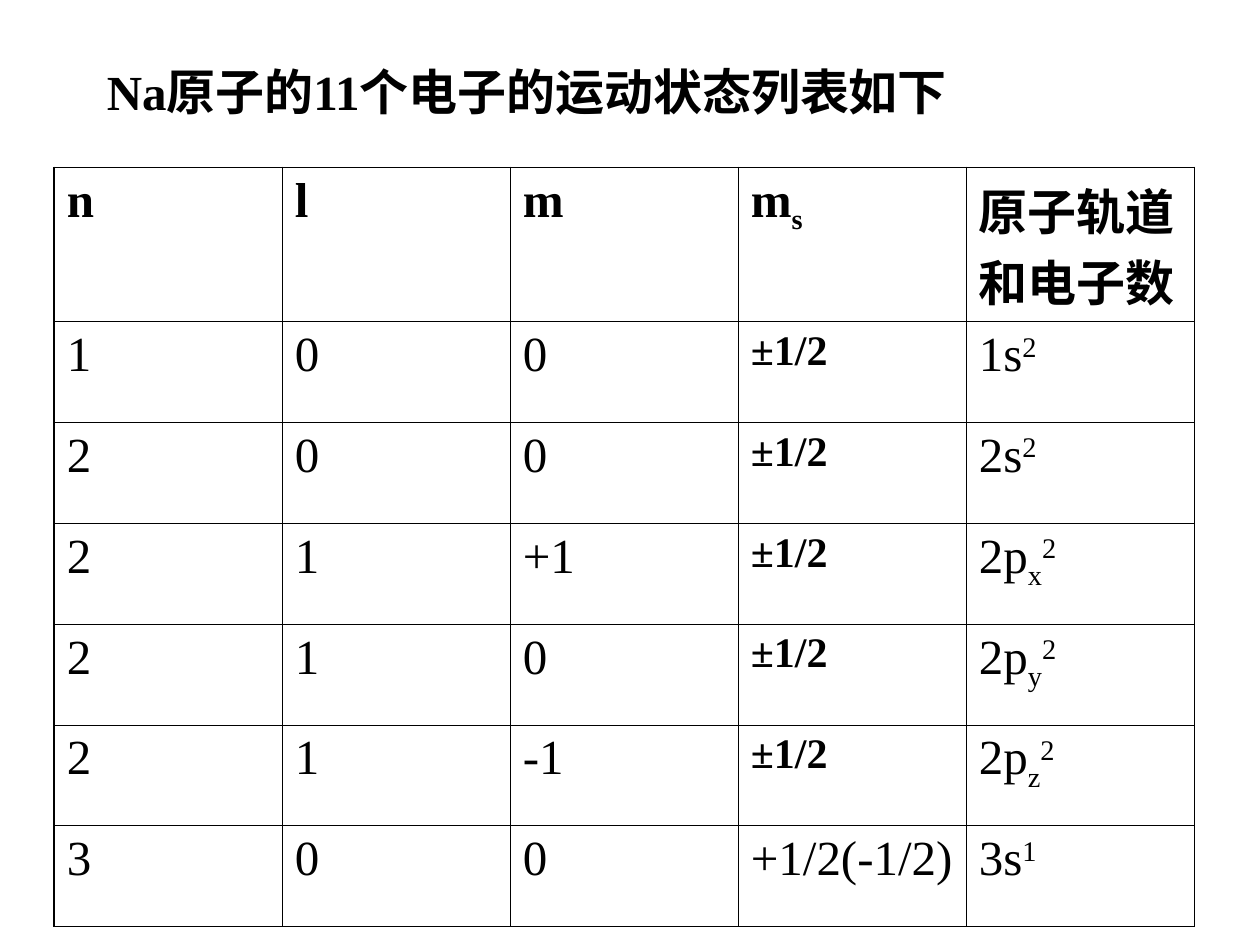
from dataclasses import dataclass

from lxml import etree
from pptx import Presentation
from pptx import util as u
from pptx.dml.color import RGBColor
from pptx.enum import text
from pptx.oxml.ns import qn


@dataclass(frozen=True)
class Theme:
    font: str = "Times New Roman"
    ink: str = "000000"
    body: int = 28
    spin: int = 24
    inner_line: float = 0.45
    outer_line: float = 1.08


THEME = Theme()
SUB, SUPER = -25000, 30000

TITLE = "Na原子的11个电子的运动状态列表如下"
HEADER = ["n", "l", "m", [("m", 0), ("s", SUB)], "原子轨道和电子数"]
PAIR = "±1/2"
STATES = [
    ["1", "0", "0", PAIR, [("1s", 0), ("2", SUPER)]],
    ["2", "0", "0", PAIR, [("2s", 0), ("2", SUPER)]],
    ["2", "1", "+1", PAIR, [("2p", 0), ("x", SUB), ("2", SUPER)]],
    ["2", "1", "0", PAIR, [("2p", 0), ("y", SUB), ("2", SUPER)]],
    ["2", "1", "-1", PAIR, [("2p", 0), ("z", SUB), ("2", SUPER)]],
    ["3", "0", "0", "+1/2(-1/2)", [("3s", 0), ("1", SUPER)]],
]

LEFT, TOP = 0.43, 1.33
COLUMN_WIDTH = 1.81
HEADER_HEIGHT, STATE_HEIGHT = 1.11, 0.8


def write(para, content, size, bold):
    """Add content, a string or a list of (text, baseline) pairs, as runs."""
    runs = [(content, 0)] if isinstance(content, str) else content
    for words, baseline in runs:
        span = para.add_run()
        span.text = words
        span.font.name = THEME.font
        span.font.size = u.Pt(size)
        span.font.bold = bold
        span.font.color.rgb = RGBColor.from_string(THEME.ink)
        if baseline:
            span._r.get_or_add_rPr().set("baseline", str(baseline))


def draw_borders(cell, outer_sides):
    properties = cell._tc.get_or_add_tcPr()
    for side in "LRTB":
        width = THEME.outer_line if side in outer_sides else THEME.inner_line
        line = etree.SubElement(properties, qn("a:ln" + side), w=str(u.Pt(width)))
        fill = etree.SubElement(line, qn("a:solidFill"))
        etree.SubElement(fill, qn("a:srgbClr"), val=THEME.ink)


def add_title(page):
    box = page.shapes.add_textbox(
        u.Inches(0.75), u.Inches(0.44), u.Inches(7.24), u.Inches(0.57))
    frame = box.text_frame
    frame.word_wrap = True
    frame.auto_size = text.MSO_AUTO_SIZE.SHAPE_TO_FIT_TEXT
    write(frame.paragraphs[0], TITLE, THEME.body, True)


def add_state_table(page):
    rows = [HEADER] + STATES
    heights = [HEADER_HEIGHT] + [STATE_HEIGHT] * len(STATES)
    last_row, last_column = len(rows) - 1, len(HEADER) - 1
    table = page.shapes.add_table(
        len(rows), len(HEADER), u.Inches(LEFT), u.Inches(TOP),
        u.Inches(COLUMN_WIDTH * len(HEADER)), u.Inches(sum(heights))).table
    table.first_row = table.horz_banding = False
    for column in table.columns:
        column.width = u.Inches(COLUMN_WIDTH)
    for r, (values, height) in enumerate(zip(rows, heights)):
        table.rows[r].height = u.Inches(height)
        for c, value in enumerate(values):
            cell = table.cell(r, c)
            edges = {"L": c == 0, "R": c == last_column,
                     "T": r == 0, "B": r == last_row}
            draw_borders(cell, [side for side, outer in edges.items() if outer])
            cell.fill.background()
            size = THEME.spin if value == PAIR else THEME.body
            write(cell.text_frame.paragraphs[0], value, size,
                  r == 0 or value == PAIR)


def main():
    deck = Presentation()
    deck.slide_width, deck.slide_height = u.Inches(10), u.Inches(7.5)
    page = deck.slides.add_slide(deck.slide_layouts[6])
    add_state_table(page)
    add_title(page)
    deck.save("out.pptx")


if __name__ == "__main__":
    main()
